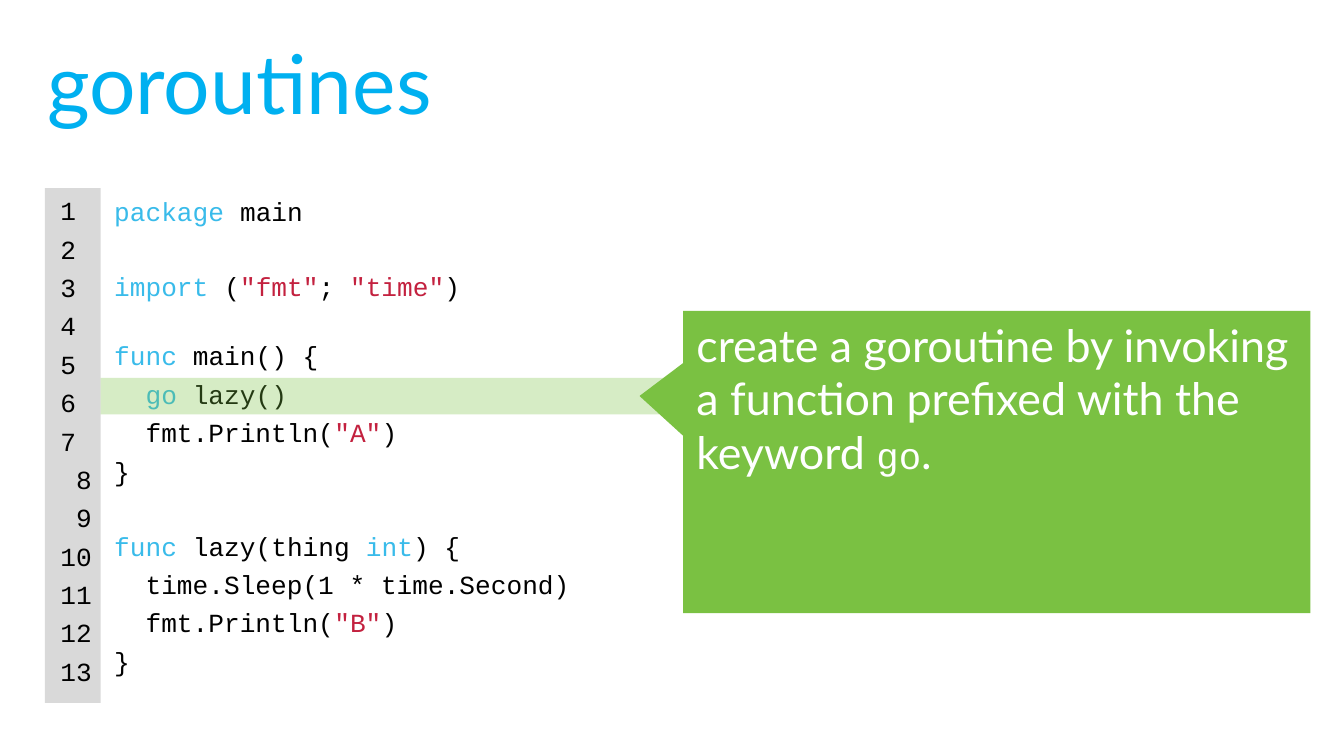
"""Build the goroutines slide: numbered code, a highlighted line and a callout."""
from lxml.etree import SubElement
from pptx import Presentation
from pptx.dml.color import RGBColor
from pptx.enum.shapes import MSO_SHAPE
from pptx.enum.text import MSO_ANCHOR, MSO_AUTO_SIZE, PP_ALIGN
from pptx.oxml.ns import qn
from pptx.util import Pt

MONO, SANS = "Courier New", "Lato"
BLACK, WHITE, GRAY = "000000", "FFFFFF", "D9D9D9"
TITLE, KEYWORD, STRING, GREEN = "00B0F0", "39BBEA", "C3213F", "7AC142"
CHAR, GAP, BLANK_LINE, BREAK = 8.4, 3.75, 23.4, 20.6


def rgb(value):
    return RGBColor.from_string(value)


def add_text(p, text, size=14, font=MONO, color=BLACK):
    r = p.add_run()
    r.text = text
    r.font.size, r.font.name = Pt(size), font
    r.font.color.rgb = rgb(color)


def format_paragraph(p, indent=0, before=0):
    p.alignment, p.space_before = PP_ALIGN.LEFT, Pt(before)
    pPr = p._p.get_or_add_pPr()
    pPr.set("marL", str(Pt(indent)))
    pPr.set("indent", "0")
    SubElement(pPr, qn("a:buNone"))


class SlideBuilder:
    def __init__(self, prs):
        self.s = prs.slides.add_slide(prs.slide_layouts[1])

    def frame(self, sp, anchor=MSO_ANCHOR.TOP, side=7.2):
        tf = sp.text_frame
        tf.word_wrap, tf.auto_size = True, MSO_AUTO_SIZE.NONE
        tf.vertical_anchor = anchor
        tf.margin_left = tf.margin_right = Pt(side)
        tf.margin_top = tf.margin_bottom = Pt(3.6)
        return tf

    def placeholder(self, index, box, anchor=MSO_ANCHOR.TOP):
        sp = self.s.placeholders[index]
        sp.left, sp.top, sp.width, sp.height = map(Pt, box)
        return self.frame(sp, anchor)

    def shape(self, shapes, kind, box, fill, alpha=None):
        sp = shapes.add_shape(kind, *map(Pt, box))
        sp.shadow.inherit = False
        sp.fill.solid()
        sp.fill.fore_color.rgb = rgb(fill)
        sp.line.fill.background()
        if alpha is not None:
            color = sp.fill._xPr.find(qn("a:solidFill"))[0]
            SubElement(color, qn("a:alpha")).set("val", str(alpha * 1000))
        return sp

    def lines(self, tf, rows):
        for i, (indent, before, runs) in enumerate(rows):
            p = tf.add_paragraph() if i else tf.paragraphs[0]
            format_paragraph(p, indent, before)
            for text, style in runs:
                add_text(p, text, **style)


def main():
    prs = Presentation()
    prs.slide_width, prs.slide_height = Pt(720), Pt(405)
    slide = SlideBuilder(prs)
    plain, keyword, string = {}, {"color": KEYWORD}, {"color": STRING}

    tf = slide.placeholder(0, (18, 4.3, 696, 79.2), MSO_ANCHOR.MIDDLE)
    slide.lines(tf, [(0, 0, [("goroutines", dict(size=44, font=SANS, color=TITLE))])])

    gutter = slide.shape(slide.s.shapes, MSO_SHAPE.RECTANGLE, (24, 100.8, 30, 275.8), GRAY)
    slide.lines(slide.frame(gutter, side=0), [
        (CHAR * (2 if n in (8, 9) else 1), GAP, [(str(n), plain)]) for n in range(1, 14)])

    tf = slide.placeholder(1, (54, 100.8, 636, 304.2))
    slide.lines(tf, [
        (0, GAP, [("package ", keyword), ("main", plain)]),
        (0, BLANK_LINE, [("import ", keyword), ("(", plain), ('"fmt"', string),
                         ("; ", plain), ('"time"', string), (")", plain)]),
        (0, BREAK, [("func ", keyword), ("main() {", plain)]),
        (2 * CHAR, GAP, [("go ", keyword), ("lazy()", plain)]),
        (2 * CHAR, GAP, [("fmt.Println(", plain), ('"A"', string), (")", plain)]),
        (0, GAP, [("}", plain)]),
        (0, BLANK_LINE, [("func ", keyword), ("lazy(thing ", plain),
                         ("int", keyword), (") {", plain)]),
        (2 * CHAR, GAP, [("time.Sleep(1 * time.Second)", plain)]),
        (2 * CHAR, GAP, [("fmt.Println(", plain), ('"B"', string), (")", plain)]),
        (0, GAP, [("}", plain)]),
    ])

    group = slide.s.shapes.add_group_shape().shapes
    pointer = slide.shape(group, MSO_SHAPE.RECTANGULAR_CALLOUT, (366, 168.5, 180, 156), GREEN)
    pointer.adjustments[0], pointer.adjustments[1] = -0.63, -0.22
    slide.shape(group, MSO_SHAPE.RECTANGLE, (54, 202.5, 354, 19.5), GREEN, alpha=30)
    note = slide.shape(group, MSO_SHAPE.RECTANGLE, (366, 166.5, 336, 162), GREEN)
    prose = dict(size=24, font=SANS, color=WHITE)
    slide.lines(slide.frame(note), [(0, 0, [
        ("create a goroutine by invoking a function prefixed with the keyword ", prose),
        ("go", dict(size=20, color=WHITE)), (".", prose)])])

    prs.save("out.pptx")


if __name__ == "__main__":
    main()
